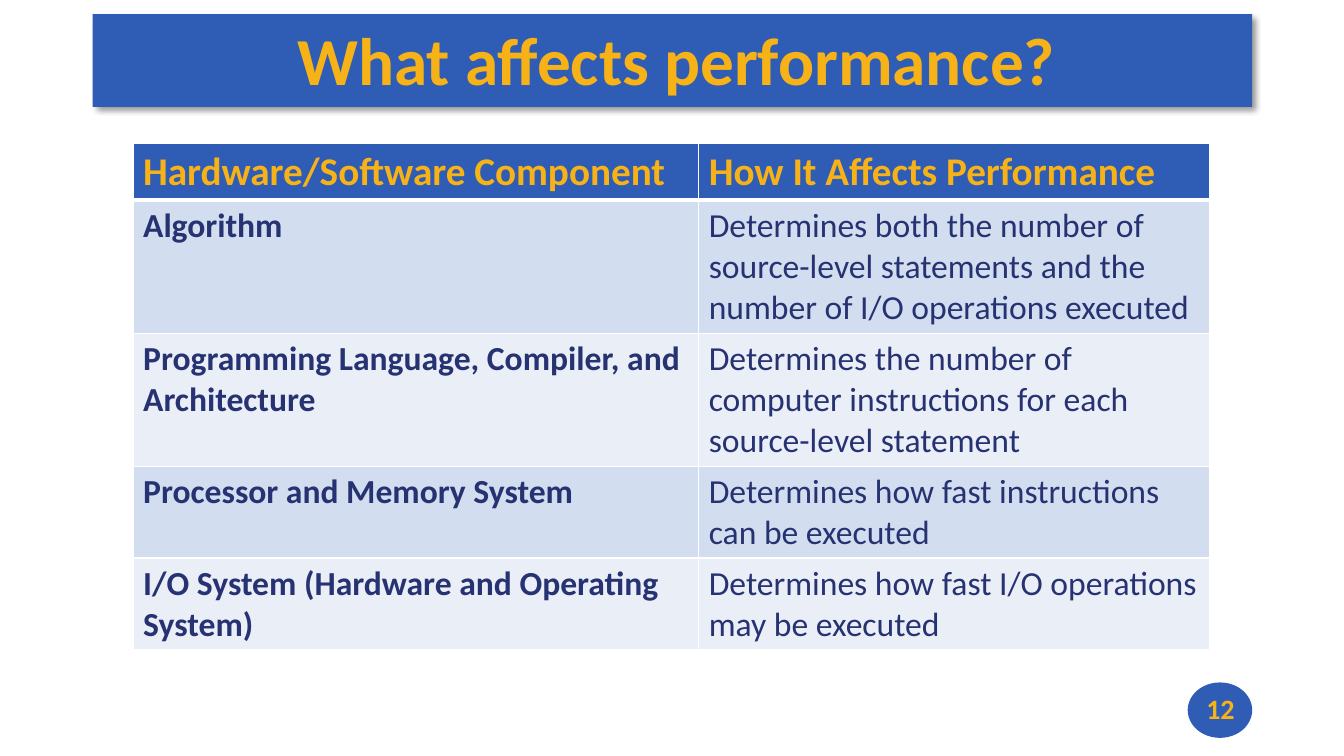
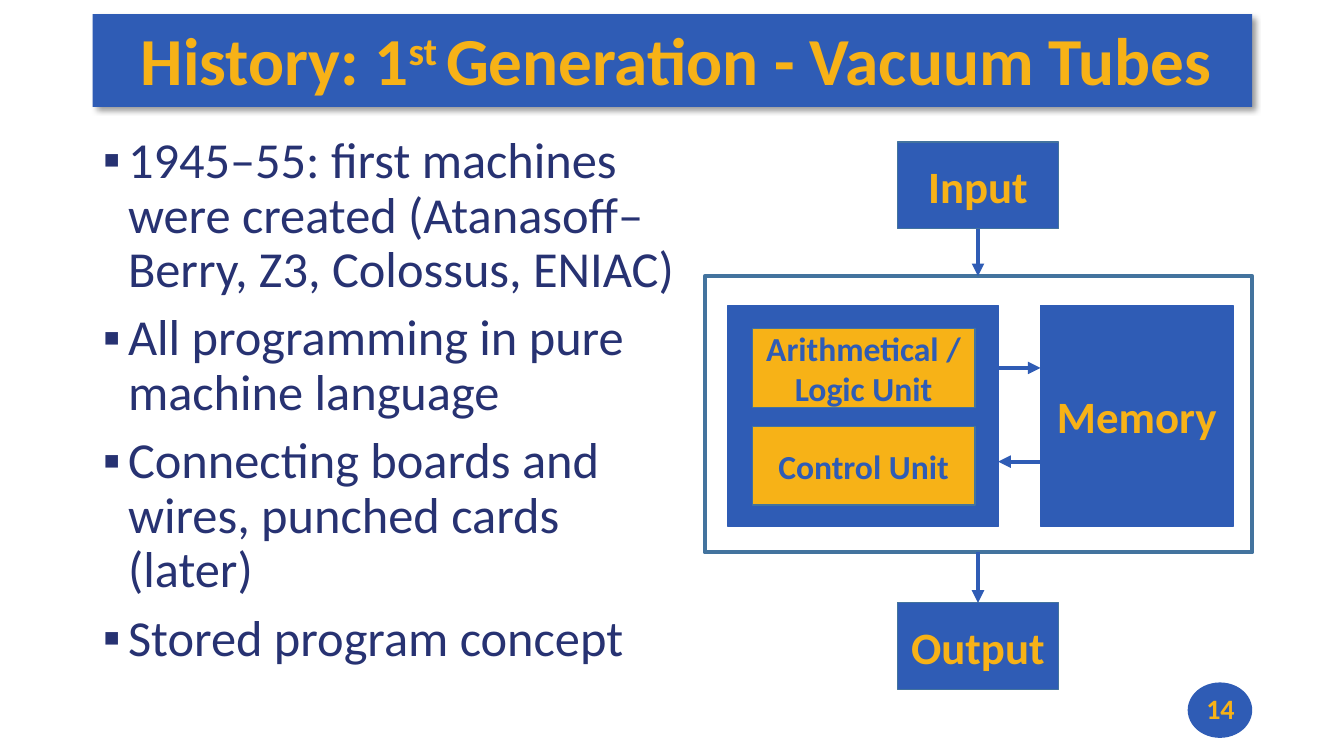
from dataclasses import dataclass

from lxml import etree
from pptx import Presentation
from pptx.dml.color import RGBColor
from pptx.enum.shapes import MSO_CONNECTOR, MSO_SHAPE
from pptx.enum.text import MSO_ANCHOR, MSO_AUTO_SIZE, PP_ALIGN
from pptx.oxml.ns import qn
from pptx.util import Pt

RECT, OVAL = MSO_SHAPE.RECTANGLE, MSO_SHAPE.OVAL
STRAIGHT = MSO_CONNECTOR.STRAIGHT
LEFT, CENTER = PP_ALIGN.LEFT, PP_ALIGN.CENTER
TOP, MIDDLE = MSO_ANCHOR.TOP, MSO_ANCHOR.MIDDLE
NO_FIT = MSO_AUTO_SIZE.NONE

EMU_PER_PX = 9144  # 100 px to the inch
TITLE_ONLY, TITLE_AND_BODY = 5, 1


@dataclass(frozen=True)
class Theme:
    font: str = "Calibri"
    blue: str = "2F5CB5"
    gold: str = "F7B217"
    navy: str = "273272"
    edge: str = "43739E"
    white: str = "FFFFFF"
    row_fills: tuple = ("D2DEEF", "EAEFF7")
    title: int = 48
    body: int = 36
    box: int = 32
    head: int = 28
    small: int = 24
    page: int = 20
    thin: float = 0.85
    thick: float = 3


T = Theme()
TITLE_BOX = (92, 12, 1150, 92)
BAND_BOX = (92, 14, 1150, 92)
BADGE_BOX = (1178, 677, 64, 55)
PAGE_BOX = (1178, 677, 65, 52)
TABLE_BOX = (132, 142, 1068, 502)
BODY_BOX = (92, 129, 599, 555)
DIAGRAM_BOX = (699, 141, 543, 543)


# Basic helpers
def px(*values):
    return [round(v * EMU_PER_PX) for v in values]


def rgb(value):
    return RGBColor.from_string(value)


def sub(parent, tag, **attrs):
    return etree.SubElement(parent, qn(tag), {k: str(v) for k, v in attrs.items()})


def place(sp, box):
    sp.left, sp.top, sp.width, sp.height = px(*box)


def write(p, text, size, color, bold=False, align=LEFT, baseline=0):
    p.alignment = align
    r = p.add_run()
    r.text = text
    font = r.font
    font.name, font.size, font.bold = T.font, Pt(size), bold
    font.color.rgb = rgb(color)
    if baseline:
        r._r.get_or_add_rPr().set("baseline", str(baseline * 1000))


def add_box(shapes, box, fill=None, line=None, width=T.thin, kind=RECT,
            text="", size=T.box, color=T.gold):
    sp = shapes.add_shape(kind, *px(*box))
    sp.shadow.inherit = False
    if fill:
        sp.fill.solid()
        sp.fill.fore_color.rgb = rgb(fill)
    else:
        sp.fill.background()
    if line:
        sp.line.color.rgb = rgb(line)
        sp.line.width = Pt(width)
    else:
        sp.line.fill.background()
    if text:
        tf = sp.text_frame
        tf.word_wrap, tf.vertical_anchor = True, MIDDLE
        write(tf.paragraphs[0], text, size, color, bold=True, align=CENTER)
    return sp


def add_arrow(shapes, x1, y1, x2, y2):
    line = shapes.add_connector(STRAIGHT, *px(x1, y1, x2, y2))
    line.line.color.rgb = rgb(T.blue)
    line.line.width = Pt(T.thick)
    sub(line.line._get_or_add_ln(), "a:tailEnd", type="triangle")
    sub(line.element.spPr, "a:effectLst")


# Shared band and page badge, kept on the master
def build_master(prs, slide):
    band = add_box(slide.shapes, BAND_BOX, T.blue)
    effects = band.element.spPr.find(qn("a:effectLst"))
    shadow = sub(effects, "a:outerShdw", blurRad=Pt(4), dist=Pt(3),
                 dir=45 * 60000, algn="tl", rotWithShape=0)
    sub(sub(shadow, "a:srgbClr", val="000000"), "a:alpha", val=40000)
    badge = add_box(slide.shapes, BADGE_BOX, T.blue, kind=OVAL)
    tree = prs.slide_master.shapes.element
    for index, sp in enumerate((band, badge), start=2):
        tree.insert(index, sp.element)


def fill_title(slide, parts):
    sp = slide.shapes.title
    place(sp, TITLE_BOX)
    tf = sp.text_frame
    tf.margin_left, tf.margin_top, tf.margin_right, tf.margin_bottom = px(8, 3, 0, 3)
    tf.word_wrap, tf.vertical_anchor, tf.auto_size = True, MIDDLE, NO_FIT
    for text, baseline in parts:
        write(tf.paragraphs[0], text, T.title, T.gold, bold=True, align=CENTER,
              baseline=baseline)


def add_page_number(slide, number):
    tf = slide.shapes.add_textbox(*px(*PAGE_BOX)).text_frame
    tf.word_wrap, tf.vertical_anchor = True, MIDDLE
    write(tf.paragraphs[0], str(number), T.page, T.gold, bold=True, align=CENTER)


# Table region
def set_borders(cell, bottom):
    tcPr = cell._tc.get_or_add_tcPr()
    for index, (side, width) in enumerate((("L", 1), ("R", 1), ("T", 1), ("B", bottom))):
        ln = etree.Element(qn("a:ln" + side), w=str(Pt(width)))
        sub(sub(ln, "a:solidFill"), "a:srgbClr", val=T.white)
        tcPr.insert(index, ln)


def add_component_table(slide, box, rows, widths, heights):
    table = slide.shapes.add_table(len(rows), len(widths), *px(*box)).table
    for column, width in zip(table.columns, px(*widths)):
        column.width = width
    for row, height in zip(table.rows, px(*heights)):
        row.height = height
    for i, row in enumerate(rows):
        head = i == 0
        fill = T.blue if head else T.row_fills[(i - 1) % 2]
        for j, text in enumerate(row):
            cell = table.cell(i, j)
            cell.fill.solid()
            cell.fill.fore_color.rgb = rgb(fill)
            set_borders(cell, bottom=3 if head else 1)
            write(cell.text_frame.paragraphs[0], text,
                  T.head if head else T.small,
                  T.gold if head else T.navy, bold=head or j == 0)


# Bullet region
def fill_bullets(slide, box, items):
    sp = slide.placeholders[1]
    place(sp, box)
    tf = sp.text_frame
    tf.word_wrap, tf.vertical_anchor, tf.auto_size = True, TOP, NO_FIT
    indent = px(25)[0]
    for i, text in enumerate(items):
        p = tf.add_paragraph() if i else tf.paragraphs[0]
        pPr = p._p.get_or_add_pPr()
        pPr.set("marL", str(indent))
        pPr.set("indent", str(-indent))
        sub(pPr, "a:buChar", char="▪")
        p.line_spacing = 0.9
        p.space_before = Pt(10 if i else 0)
        write(p, text, T.body, T.navy)


# Computer diagram region
def add_computer_diagram(slide, box):
    shapes = slide.shapes
    x, y, w, h = box
    mid = x + w // 2
    end_w, end_h = 160, 86
    frame_y, frame_h = y + 133, 274
    unit_y, unit_h = frame_y + 29, 219
    cpu_x, cpu_w = x + 23, 268
    mem_x, mem_w = x + 333, 191

    # Input, output and the frame between them
    for text, top in (("Input", y), ("Output", y + h - end_h)):
        add_box(shapes, (mid - end_w // 2, top, end_w, end_h), T.blue, T.edge, text=text)
    add_box(shapes, (x, frame_y, w, frame_h), line=T.edge, width=T.thick)
    add_arrow(shapes, mid, y + end_h, mid, frame_y)
    add_arrow(shapes, mid, frame_y + frame_h, mid, y + h - end_h)

    # Memory and processor
    add_box(shapes, (mem_x, unit_y, mem_w, unit_h), T.blue, T.blue, text="Memory")
    add_box(shapes, (cpu_x, unit_y, cpu_w, unit_h), T.blue, T.blue)
    add_arrow(shapes, cpu_x + cpu_w, unit_y + 62, mem_x, unit_y + 62)
    add_arrow(shapes, mem_x, unit_y + 155, cpu_x + cpu_w, unit_y + 155)

    # Units inside the processor
    for i, text in enumerate(("Arithmetical / Logic Unit", "Control Unit")):
        add_box(shapes, (cpu_x + 24, unit_y + 23 + i * 97, 221, 78), T.gold, T.edge,
                text=text, size=T.small, color=T.blue)


# Slides
def add_slide(prs, layout, title, number):
    slide = prs.slides.add_slide(prs.slide_layouts[layout])
    fill_title(slide, title)
    add_page_number(slide, number)
    return slide


def build_performance(prs):
    slide = add_slide(prs, TITLE_ONLY, [("What affects performance?", 0)], 12)
    rows = [
        ("Hardware/Software Component", "How It Affects Performance"),
        ("Algorithm", "Determines both the number of source-level statements "
                      "and the number of I/O operations executed"),
        ("Programming Language, Compiler, and Architecture",
         "Determines the number of computer instructions for each source-level statement"),
        ("Processor and Memory System", "Determines how fast instructions can be executed"),
        ("I/O System (Hardware and Operating System)",
         "Determines how fast I/O operations may be executed"),
    ]
    add_component_table(slide, TABLE_BOX, rows, (561, 507), (56, 132, 132, 91, 91))
    return slide


def build_history(prs):
    title = [("History: 1", 0), ("st ", 30), ("Generation - Vacuum Tubes", 0)]
    slide = add_slide(prs, TITLE_AND_BODY, title, 14)
    fill_bullets(slide, BODY_BOX, [
        "1945–55: first machines were created (Atanasoff–Berry, Z3, Colossus, ENIAC)",
        "All programming in pure machine language",
        "Connecting boards and wires, punched cards (later)",
        "Stored program concept",
    ])
    add_computer_diagram(slide, DIAGRAM_BOX)


def main():
    prs = Presentation()
    prs.slide_width, prs.slide_height = px(1333, 750)
    build_master(prs, build_performance(prs))
    build_history(prs)
    prs.save("out.pptx")


if __name__ == "__main__":
    main()
